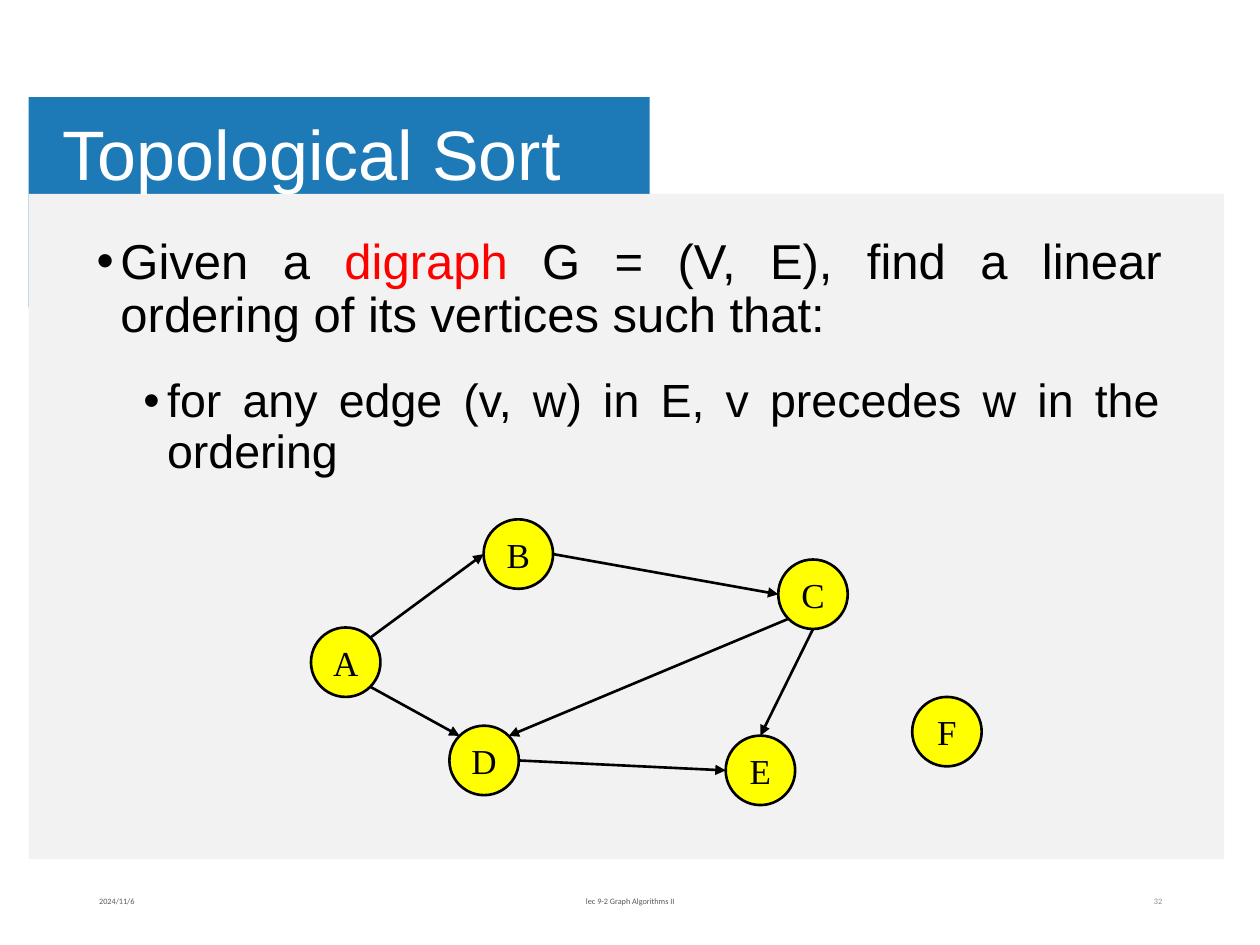
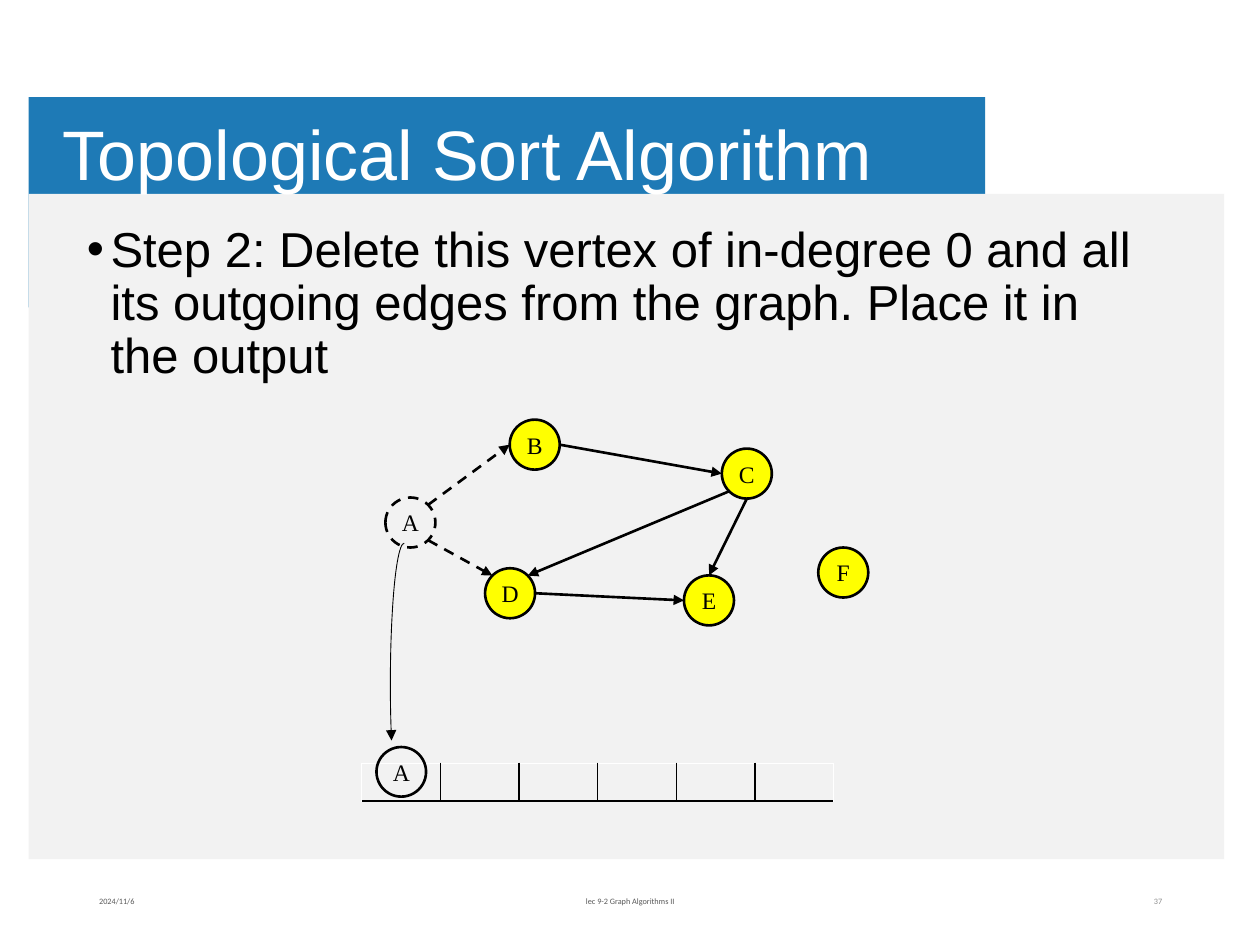
import math

import lxml.etree
import pptx
import pptx.dml.color
import pptx.enum.dml
import pptx.enum.shapes
import pptx.enum.text
import pptx.oxml.ns
import pptx.util

Cm = pptx.util.Cm
Pt = pptx.util.Pt
SHAPE = pptx.enum.shapes.MSO_SHAPE
ALIGN = pptx.enum.text.PP_ALIGN
MIDDLE = pptx.enum.text.MSO_ANCHOR.MIDDLE
DASH = pptx.enum.dml.MSO_LINE.DASH

BLUE, PANEL, YELLOW = "1E7AB6", "F2F2F2", "FFFF00"
BLACK, WHITE, RED = "000000", "FFFFFF", "FF0000"
FOOTER_GREY, NUMBER_GREY = "595959", "8C8C8C"

NODE_SIZE = 1.4
NODES = {
    "A": (0, 0),
    "B": (3.48, -2.18),
    "C": (9.42, -1.37),
    "D": (2.79, 1.98),
    "E": (8.36, 2.18),
    "F": (12.12, 1.4),
}
RIGHT, LOWER_RIGHT, BOTTOM, LOWER_LEFT = 0, 45, 90, 135
LEFT, UPPER_LEFT, TOP, UPPER_RIGHT = 180, 225, 270, 315
EDGES = [
    ("A", UPPER_RIGHT, "B", LEFT),
    ("A", LOWER_RIGHT, "D", UPPER_LEFT),
    ("B", RIGHT, "C", LEFT),
    ("C", LOWER_LEFT, "D", UPPER_RIGHT),
    ("C", BOTTOM, "E", TOP),
    ("D", RIGHT, "E", LEFT),
]


def color(hex_code):
    return pptx.dml.color.RGBColor.from_string(hex_code)


def add_xml(parent, tag, **attributes):
    return lxml.etree.SubElement(parent, pptx.oxml.ns.qn(tag), attributes)


class Deck:
    def __init__(self):
        self.presentation = pptx.Presentation()
        self.presentation.slide_width = Cm(25.4)
        self.presentation.slide_height = Cm(19.05)
        self.slide = None

    def start_slide(self, title, band_width, number):
        self.slide = self.presentation.slides.add_slide(self.presentation.slide_layouts[6])
        self.shape(SHAPE.RECTANGLE, 0.58, 1.96, band_width, 4.24, fill=BLUE)
        self.shape(SHAPE.RECTANGLE, 0.58, 3.91, 24.1, 13.41, fill=PANEL)
        heading = self.text(title, 1.09, 1.93, 20.4, 2.49, 40, "Arial", WHITE)
        heading.line_spacing = 0.9
        for words, left, width, align, hue in [
            ("2024/11/6", 1.75, 5.72, ALIGN.LEFT, FOOTER_GREY),
            ("lec 9-2 Graph Algorithms II", 8.41, 8.59, ALIGN.CENTER, FOOTER_GREY),
            (number, 17.96, 5.72, ALIGN.RIGHT, NUMBER_GREY),
        ]:
            self.text(words, left, 17.65, width, 1.02, 4.7, "Calibri", hue, align, 0.25)

    def set_font(self, paragraph, size, name, hue=None):
        paragraph.font.size = Pt(size)
        paragraph.font.name = name
        if hue:
            paragraph.font.color.rgb = color(hue)

    def text(self, words, left, top, width, height, size, name, hue,
             align=ALIGN.LEFT, margin=0.18):
        frame = self.slide.shapes.add_textbox(
            Cm(left), Cm(top), Cm(width), Cm(height)).text_frame
        frame.word_wrap = True
        frame.vertical_anchor = MIDDLE
        frame.margin_left = frame.margin_right = Cm(margin)
        paragraph = frame.paragraphs[0]
        paragraph.text = words
        paragraph.alignment = align
        self.set_font(paragraph, size, name, hue)
        return paragraph

    def bullets(self, items, left, top, width, height, align):
        frame = self.slide.shapes.add_textbox(
            Cm(left), Cm(top), Cm(width), Cm(height)).text_frame
        frame.word_wrap = True
        for index, (level, size, runs) in enumerate(items):
            paragraph = frame.add_paragraph() if index else frame.paragraphs[0]
            paragraph.level = level
            paragraph.alignment = align
            paragraph.line_spacing = 0.9
            if index:
                paragraph.space_before = Pt(20)
            properties = paragraph._p.get_or_add_pPr()
            properties.set("marL", str(Cm(0.48 + 0.94 * level)))
            properties.set("indent", str(Cm(-0.48)))
            add_xml(properties, "a:buFont", typeface="Arial")
            add_xml(properties, "a:buChar", char="•")
            self.set_font(paragraph, size, "Arial")
            for words, hue in runs:
                run = paragraph.add_run()
                run.text = words
                run.font.color.rgb = color(hue)

    def shape(self, kind, left, top, width, height, fill=None, line=None, dash=None, weight=1.5):
        shape = self.slide.shapes.add_shape(kind, Cm(left), Cm(top), Cm(width), Cm(height))
        shape.shadow.inherit = False
        if fill:
            shape.fill.solid()
            shape.fill.fore_color.rgb = color(fill)
        else:
            shape.fill.background()
        if line:
            self.stroke(shape.line, line, weight, dash)
        else:
            shape.line.fill.background()
        return shape

    def stroke(self, line, hue, weight, dash=None):
        line.color.rgb = color(hue)
        line.width = Pt(weight)
        if dash:
            line.dash_style = dash

    def arrowhead(self, line):
        add_xml(line._get_or_add_ln(), "a:tailEnd", type="triangle")

    def node(self, label, left, top, size, font_size, fill=YELLOW, dash=None):
        circle = self.shape(SHAPE.OVAL, left, top, size, size, fill, BLACK, dash)
        frame = circle.text_frame
        frame.word_wrap = False
        frame.vertical_anchor = MIDDLE
        frame.margin_left = frame.margin_right = frame.margin_top = frame.margin_bottom = 0
        letter = frame.paragraphs[0]
        letter.text = label
        letter.alignment = ALIGN.CENTER
        self.set_font(letter, font_size, "Times New Roman", BLACK)

    def arrow(self, start, end, dash=None):
        edge = self.slide.shapes.add_connector(
            pptx.enum.shapes.MSO_CONNECTOR.STRAIGHT, *(Cm(value) for value in (*start, *end)))
        self.stroke(edge.line, BLACK, 1.5, dash)
        self.arrowhead(edge.line)
        add_xml(edge._element.spPr, "a:effectLst")

    def graph(self, left, top, scale, font_size, removed=""):
        size = NODE_SIZE * scale

        def corner(label):
            x, y = NODES[label]
            return left + x * scale, top + y * scale

        def rim(label, degrees):
            x, y = corner(label)
            angle = math.radians(degrees)
            return (x + size / 2 * (1 + math.cos(angle)),
                    y + size / 2 * (1 + math.sin(angle)))

        for label in NODES:
            gone = label in removed
            self.node(label, *corner(label), size, font_size,
                      None if gone else YELLOW, DASH if gone else None)
        for source, exit_side, target, entry_side in EDGES:
            self.arrow(rim(source, exit_side), rim(target, entry_side),
                       DASH if source in removed else None)

    def output_row(self, left, top, width, height, count):
        row = self.slide.shapes.add_table(
            1, count, Cm(left), Cm(top), Cm(width), Cm(height)).table
        row.first_row = row.horz_banding = False
        for index in range(count):
            cell = row.cell(0, index)
            cell.margin_left = cell.margin_right = cell.margin_top = cell.margin_bottom = 0
            self.set_font(cell.text_frame.paragraphs[0], 10, "Arial")
            cell.fill.background()
            borders = {
                "a:lnL": BLACK if index else WHITE,
                "a:lnR": BLACK if index < count - 1 else WHITE,
                "a:lnT": WHITE,
                "a:lnB": BLACK,
            }
            properties = cell._tc.get_or_add_tcPr()
            for position, (tag, hue) in enumerate(borders.items()):
                border = add_xml(properties, tag, w=str(Pt(1)))
                add_xml(add_xml(border, "a:solidFill"), "a:srgbClr", val=hue)
                properties.insert(position, border)

    def curved_arrow(self, left, top, width, height):
        curve = self.shape(SHAPE.ARC, left, top, width, height, line=BLACK, weight=0.5)
        curve.adjustments[0] = 162
        curve.adjustments[1] = 46.47
        curve._element.spPr.xfrm.set("flipH", "1")
        self.arrowhead(curve.line)


def main():
    deck = Deck()

    deck.start_slide("Topological Sort", 12.52, "32")
    deck.bullets([
        (0, 28, [("Given a ", BLACK), ("digraph", RED),
                 (" G = (V, E), find a linear ordering of its vertices such that:", BLACK)]),
        (1, 26.6, [("for any edge (v, w) in E, v precedes w in the ordering", BLACK)]),
    ], 1.7, 4.65, 21.97, 12.09, ALIGN.JUSTIFY)
    deck.graph(6.27, 12.65, 1, 20)

    deck.start_slide("Topological Sort Algorithm", 19.28, "37")
    deck.bullets([
        (0, 28, [("Step 2: Delete this vertex of in-degree 0 and all its outgoing edges "
                  "from the graph. Place it in the output", BLACK)]),
    ], 1.5, 4.42, 21.95, 3.56, ALIGN.LEFT)
    deck.output_row(7.29, 15.39, 9.52, 0.76, 6)
    deck.graph(7.77, 10.03, 0.72, 13.5, removed="A")
    deck.node("A", 7.59, 15.06, 1, 13.5, fill=None)
    deck.curved_arrow(7.87, 10.95, 0.56, 5.66)

    deck.presentation.save("out.pptx")


if __name__ == "__main__":
    main()
